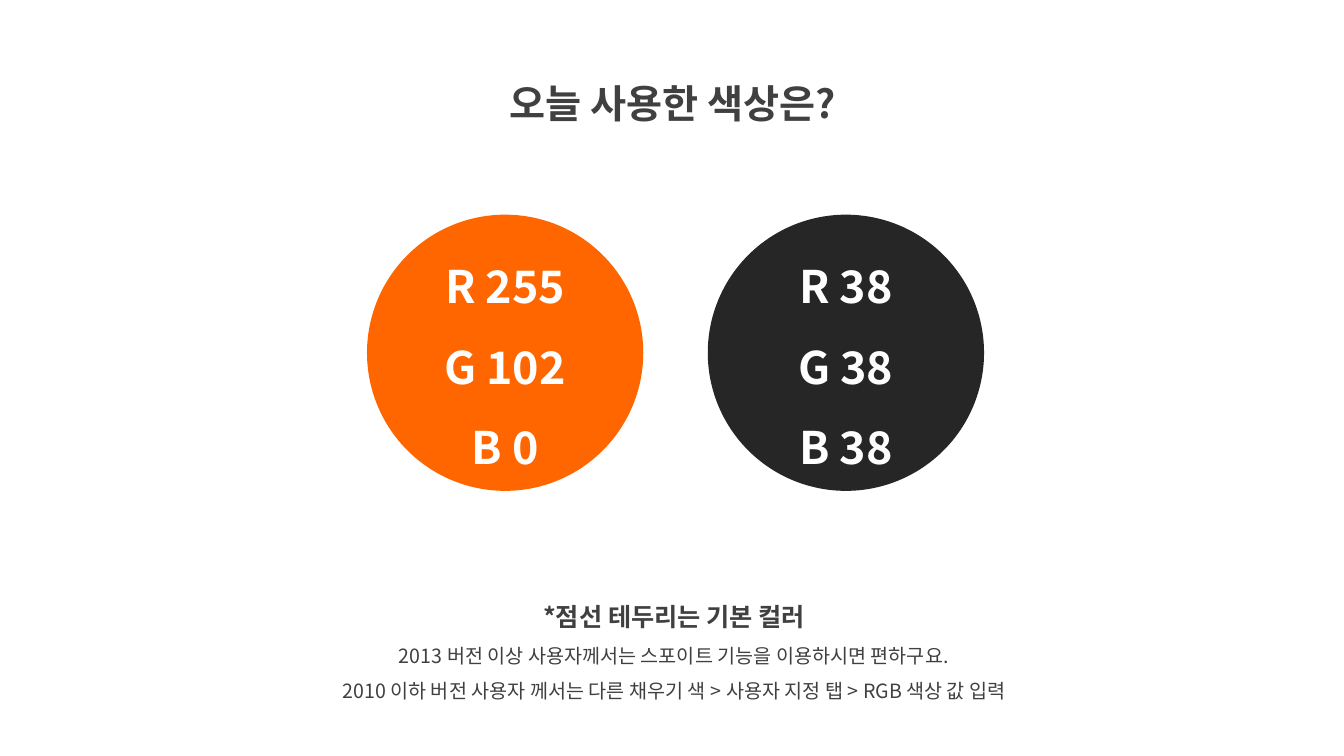
from pptx import Presentation
from pptx.dml.color import RGBColor
from pptx.enum.shapes import MSO_SHAPE as Shape
from pptx.enum.text import MSO_ANCHOR as Anchor, MSO_AUTO_SIZE as AutoSize, PP_ALIGN as Align
from pptx.oxml.ns import qn
from pptx.util import Inches, Pt

FONT = "Noto Sans CJK KR"
GRAY = RGBColor(0x40, 0x40, 0x40)
WHITE = RGBColor(0xFF, 0xFF, 0xFF)
ORANGE = RGBColor(0xFF, 0x66, 0x00)
BLACK = RGBColor(0x26, 0x26, 0x26)

TITLE = [("오늘 사용한 색상은?", 28, True)]
NOTES = [
    ("*점선 테두리는 기본 컬러", 18, True),
    ("2013 버전 이상 사용자께서는 스포이트 기능을 이용하시면 편하구요.", 14, False),
    ("2010 이하 버전 사용자 께서는 다른 채우기 색 > 사용자 지정 탭 > RGB 색상 값 입력", 14, False),
]
SWATCHES = [ORANGE, BLACK]

SLIDE_WIDTH, SLIDE_HEIGHT = 13.33, 7.5
TITLE_BOX = (4.36, 0.5, 4.63, 0.72)
NOTES_BOX = (2.69, 5.77, 7.99, 1.26)
CIRCLE_LEFT, CIRCLE_TOP, CIRCLE_SIZE, CIRCLE_GAP = 3.64, 2.13, 2.74, 0.64


def write_lines(shape, lines, color, anchor):
    frame = shape.text_frame
    frame.text = "\n".join(text for text, size, bold in lines)
    frame.word_wrap = True
    frame.vertical_anchor = anchor
    for paragraph, (text, size, bold) in zip(frame.paragraphs, lines):
        paragraph.alignment = Align.CENTER
        paragraph.line_spacing = 1.5
        paragraph.space_before = Pt(0)
        for run in paragraph.runs:
            run.font.size = Pt(size)
            run.font.bold = bold
            run.font.color.rgb = color
            run.font.name = FONT
            east_asian = run.font._element.makeelement(qn("a:ea"), {"typeface": FONT})
            run.font._element.find(qn("a:latin")).addnext(east_asian)


def add_swatch(slide, column, color):
    left = CIRCLE_LEFT + column * (CIRCLE_SIZE + CIRCLE_GAP)
    box = (left, CIRCLE_TOP, CIRCLE_SIZE, CIRCLE_SIZE)
    circle = slide.shapes.add_shape(Shape.OVAL, *map(Inches, box))
    circle.shadow.inherit = False
    circle.fill.solid()
    circle.fill.fore_color.rgb = color
    circle.line.fill.background()
    lines = [(f"{channel} {value}", 32, True) for channel, value in zip("RGB", color)]
    write_lines(circle, lines, WHITE, Anchor.MIDDLE)


def main():
    presentation = Presentation()
    presentation.slide_width = Inches(SLIDE_WIDTH)
    presentation.slide_height = Inches(SLIDE_HEIGHT)
    slide = presentation.slides.add_slide(presentation.slide_layouts[5])

    title = slide.shapes.title
    title.left, title.top, title.width, title.height = map(Inches, TITLE_BOX)
    notes = slide.shapes.add_textbox(*map(Inches, NOTES_BOX))
    for shape, lines in ((title, TITLE), (notes, NOTES)):
        write_lines(shape, lines, GRAY, Anchor.TOP)
        shape.text_frame.auto_size = AutoSize.SHAPE_TO_FIT_TEXT

    for column, color in enumerate(SWATCHES):
        add_swatch(slide, column, color)
    presentation.save("out.pptx")


if __name__ == "__main__":
    main()
